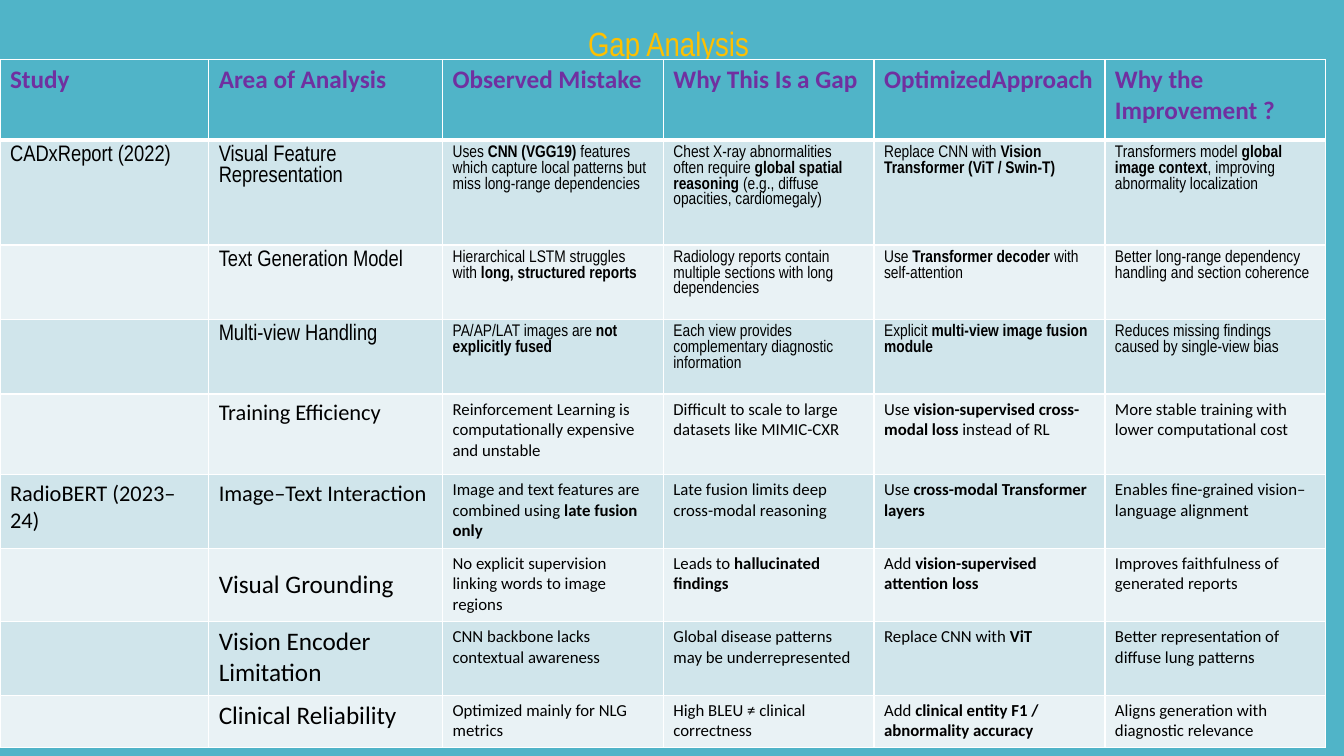
"""Build the Gap Analysis slide: a subtitle heading above a full-width comparison table."""
from lxml import etree
from pptx import Presentation
from pptx.dml.color import RGBColor
from pptx.enum.text import MSO_ANCHOR as ANCHOR, PP_ALIGN as ALIGN
from pptx.oxml.ns import qn
from pptx.util import Inches, Pt

TITLE = "Gap Analysis"
HEADER = ["Study", "Area of Analysis", "Observed Mistake", "Why This Is a Gap",
          "OptimizedApproach", "Why the Improvement ?"]
ROWS = [
    ["CADxReport (2022)", "Visual Feature Representation",
     "Uses **CNN (VGG19)** features which capture local patterns but miss long-range dependencies",
     "Chest X-ray abnormalities often require **global spatial reasoning** "
     "(e.g., diffuse opacities, cardiomegaly)",
     "Replace CNN with **Vision Transformer (ViT / Swin-T)**",
     "Transformers model **global image context**, improving abnormality localization"],
    ["", "Text Generation Model",
     "Hierarchical LSTM struggles with **long, structured reports**",
     "Radiology reports contain multiple sections with long dependencies",
     "Use **Transformer decoder** with self-attention",
     "Better long-range dependency handling and section coherence"],
    ["", "Multi-view Handling",
     "PA/AP/LAT images are **not explicitly fused**",
     "Each view provides complementary diagnostic information",
     "Explicit **multi-view image fusion module**",
     "Reduces missing findings caused by single-view bias"],
    ["", "Training Efficiency",
     "Reinforcement Learning is computationally expensive and unstable",
     "Difficult to scale to large datasets like MIMIC-CXR",
     "Use **vision-supervised cross-modal loss** instead of RL",
     "More stable training with lower computational cost"],
    ["RadioBERT (2023–24)", "Image–Text Interaction",
     "Image and text features are combined using **late fusion only**",
     "Late fusion limits deep cross-modal reasoning",
     "Use **cross-modal Transformer layers**",
     "Enables fine-grained vision–language alignment"],
    ["", "Visual Grounding",
     "No explicit supervision linking words to image regions",
     "Leads to **hallucinated findings**",
     "Add **vision-supervised attention loss**",
     "Improves faithfulness of generated reports"],
    ["", "Vision Encoder Limitation",
     "CNN backbone lacks contextual awareness",
     "Global disease patterns may be underrepresented",
     "Replace CNN with **ViT**",
     "Better representation of diffuse lung patterns"],
    ["", "Clinical Reliability",
     "Optimized mainly for NLG metrics",
     "High BLEU ≠ clinical correctness",
     "Add **clinical entity F1 / abnormality accuracy**",
     "Aligns generation with diagnostic relevance"],
]
COLORS = {"teal": "50B4C8", "gold": "FFC000", "purple": "7030A0", "black": "000000",
          "white": "FFFFFF", "odd": "D0E5EB", "even": "E9F2F5"}
NARROW, SANS = "Arial Narrow", "Calibri"
COL_WIDTHS = [2.07, 2.32, 2.19, 2.09, 2.29, 2.19]
ROW_HEIGHTS = [0.8, 1.04, 0.74, 0.74, 0.8, 0.73, 0.73, 0.73, 0.52]
NARROW_ROWS = range(1, 4)
LARGE_AREA_ROWS = range(6, 9)
TABLE_TOP = 0.59


def rgb(name):
    return RGBColor.from_string(COLORS[name])


def write(tf, text, size=12, font=SANS, color="black", bold=False, align=None):
    """Write text, with **marked** parts in bold."""
    p = tf.paragraphs[0]
    p.alignment = align
    p.font.size = Pt(size)
    for i, part in enumerate(text.split("**")):
        if part:
            r = p.add_run()
            r.text = part
            r.font.size, r.font.name = Pt(size), font
            r.font.bold = bold or i % 2 == 1
            r.font.color.rgb = rgb(color)
    return p


def set_borders(cell, bottom):
    tc_pr = cell._tc.get_or_add_tcPr()
    for i, (side, width) in enumerate([("L", 1), ("R", 1), ("T", 1), ("B", bottom)]):
        ln = etree.Element(qn(f"a:ln{side}"), w=str(Pt(width)))
        fill = etree.SubElement(ln, qn("a:solidFill"))
        etree.SubElement(fill, qn("a:srgbClr"), val=COLORS["white"])
        tc_pr.insert(i, ln)


def cell_format(row, col):
    if row == 0:
        return {"size": 18, "color": "purple", "bold": True}
    area_size = 18 if row in LARGE_AREA_ROWS else 16
    return {"size": area_size if col < 2 else 12,
            "font": NARROW if row in NARROW_ROWS else SANS}


def add_heading(slide):
    sp = slide.placeholders[1]
    sp.left, sp.top, sp.width, sp.height = map(Inches, (0.11, 0.09, 13.04, 7.21))
    tf = sp.text_frame
    tf.vertical_anchor = ANCHOR.TOP
    tf.margin_top = Inches(0.14)
    p = write(tf, TITLE, size=24, font=NARROW, color="gold", align=ALIGN.CENTER)
    p.space_before = Pt(0)


def add_gap_table(slide):
    grid = [HEADER] + ROWS
    table = slide.shapes.add_table(
        len(grid), len(HEADER), 0, Inches(TABLE_TOP),
        Inches(sum(COL_WIDTHS)), Inches(sum(ROW_HEIGHTS))).table
    for column, width in zip(table.columns, COL_WIDTHS):
        column.width = Inches(width)
    for row, height in zip(table.rows, ROW_HEIGHTS):
        row.height = Inches(height)
    for i, texts in enumerate(grid):
        shade = "teal" if i == 0 else "odd" if i % 2 else "even"
        for j, text in enumerate(texts):
            cell = table.cell(i, j)
            cell.fill.solid()
            cell.fill.fore_color.rgb = rgb(shade)
            set_borders(cell, bottom=3 if i == 0 else 1)
            write(cell.text_frame, text, **cell_format(i, j))
            if text == "Visual Grounding":
                cell.vertical_anchor = ANCHOR.MIDDLE


def main():
    prs = Presentation()
    prs.slide_width, prs.slide_height = Inches(13.33), Inches(7.5)
    slide = prs.slides.add_slide(prs.slide_layouts[0])
    slide.background.fill.solid()
    slide.background.fill.fore_color.rgb = rgb("teal")
    title = slide.shapes.title._element
    title.getparent().remove(title)
    add_heading(slide)
    add_gap_table(slide)
    prs.save("out.pptx")


if __name__ == "__main__":
    main()
